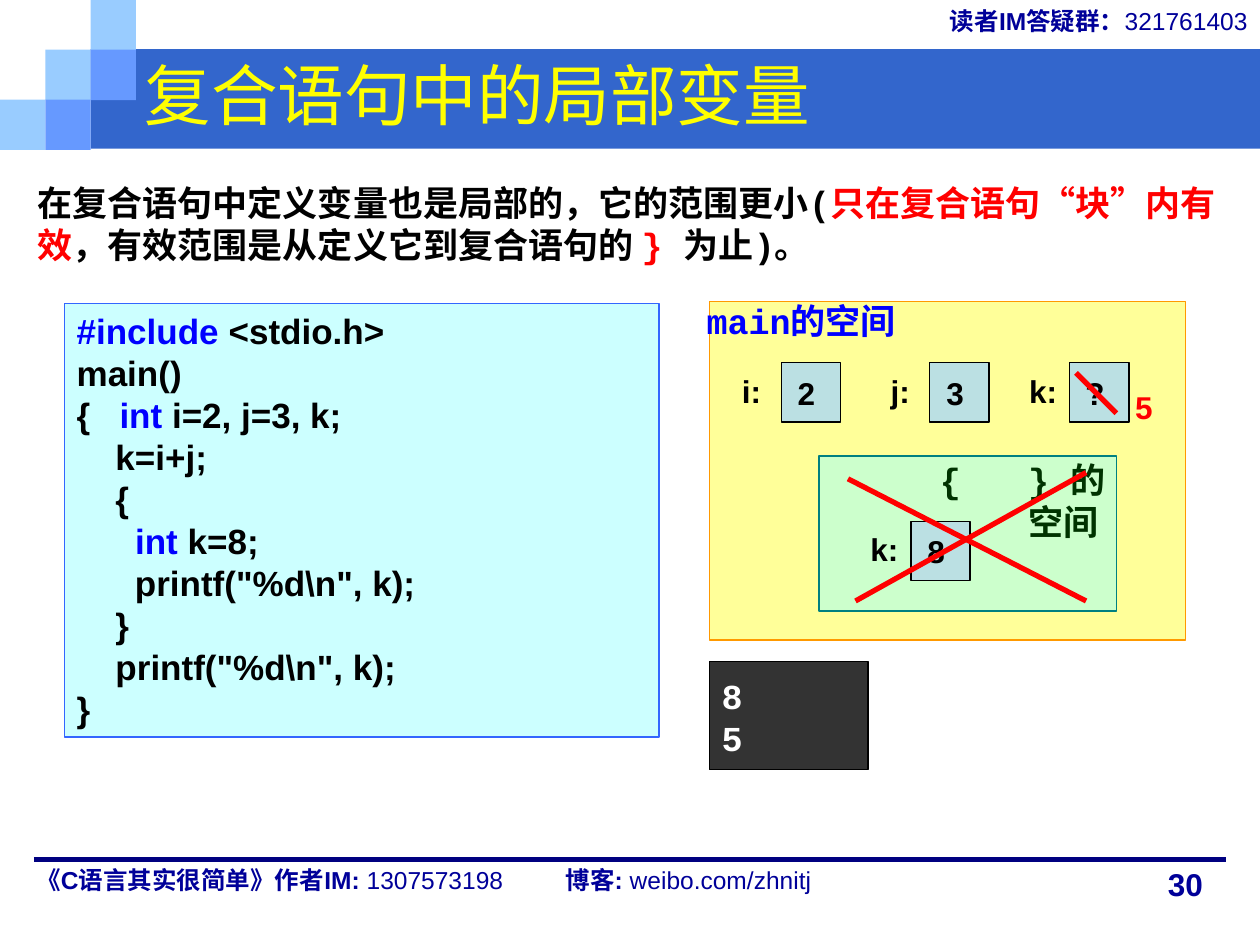
from lxml import etree
from pptx import Presentation
from pptx.dml.color import RGBColor
from pptx.enum.shapes import MSO_CONNECTOR, MSO_SHAPE
from pptx.enum.text import MSO_ANCHOR, PP_ALIGN
from pptx.oxml.ns import qn
from pptx.util import Inches, Pt

BLACK = RGBColor(0, 0, 0)
WHITE = RGBColor(0xFF, 0xFF, 0xFF)
RED = RGBColor(0xFF, 0, 0)
BLUE = RGBColor(0, 0, 0xFF)
NAVY = RGBColor(0, 0, 0x99)
RULE_NAVY = RGBColor(0, 0, 0x80)
BAND = RGBColor(0x33, 0x66, 0xCC)
LIGHT_TILE = RGBColor(0x99, 0xCC, 0xFF)
MID_TILE = RGBColor(0x66, 0x99, 0xFF)
YELLOW = RGBColor(0xFF, 0xFF, 0)
CODE_FILL = RGBColor(0xCC, 0xFF, 0xFF)
CODE_EDGE = RGBColor(0x33, 0x66, 0xFF)
MAIN_FILL = RGBColor(0xFF, 0xFF, 0x99)
MAIN_EDGE = RGBColor(0xFF, 0x99, 0)
BLOCK_FILL = RGBColor(0xCC, 0xFF, 0xCC)
BLOCK_EDGE = RGBColor(0, 0x80, 0x80)
BLOCK_TEXT = RGBColor(0, 0x33, 0)
CELL_FILL = RGBColor(0xBB, 0xE0, 0xE3)
CONSOLE = RGBColor(0x33, 0x33, 0x33)

prs = Presentation()
prs.slide_width = Inches(10)
prs.slide_height = Inches(7.5)
slide = prs.slides.add_slide(prs.slide_layouts[6])


def add_panel(left, top, width, height, fill, edge=None):
    panel = slide.shapes.add_shape(
        MSO_SHAPE.RECTANGLE, Inches(left), Inches(top), Inches(width), Inches(height))
    panel.shadow.inherit = False
    panel.fill.solid()
    panel.fill.fore_color.rgb = fill
    if edge is None:
        panel.line.fill.background()
    else:
        panel.line.color.rgb = edge
        panel.line.width = Pt(0.75)
    return panel


def write(box, lines, size, font="Arial", align=PP_ALIGN.LEFT, anchor=MSO_ANCHOR.TOP):
    frame = box.text_frame
    frame.word_wrap = True
    frame.vertical_anchor = anchor
    for number, runs in enumerate(lines):
        paragraph = frame.paragraphs[0] if number == 0 else frame.add_paragraph()
        paragraph.alignment = align
        for text, color, bold in runs:
            run = paragraph.add_run()
            run.text = text
            run.font.size = Pt(size)
            run.font.name = font
            run.font.bold = bold
            run.font.color.rgb = color
    return frame


add_panel(0.72, 0.39, 9.28, 0.79, BAND)
for column, row, color in [(0, 2, LIGHT_TILE), (1, 1, LIGHT_TILE), (2, 0, LIGHT_TILE),
                           (2, 1, MID_TILE), (1, 2, MID_TILE)]:
    add_panel(column * 0.36, row * 0.395, 0.36, 0.4, color)

page_number = slide.shapes.add_textbox(Inches(9.17), Inches(6.82), Inches(0.55), Inches(0.4))
write(page_number, [[("30", NAVY, True)]], 18)

footer = slide.shapes.add_textbox(Inches(0.19), Inches(6.82), Inches(7.64), Inches(0.47))
footer_frame = write(footer, [[
    ("《C语言其实很简单》作者IM: ", NAVY, True), ("1307573198\t", NAVY, False),
    ("博客: ", NAVY, True), ("weibo.com/zhnitj", NAVY, False)]], 14)
footer_tabs = etree.SubElement(footer_frame.paragraphs[0]._p.get_or_add_pPr(), qn("a:tabLst"))
etree.SubElement(footer_tabs, qn("a:tab"), pos=str(Inches(4.2)), algn="l")

reader_group = slide.shapes.add_textbox(Inches(4.25), Inches(0), Inches(5.75), Inches(0.36))
write(reader_group, [[("读者IM答疑群：", NAVY, True), ("321761403", NAVY, False)]],
      14, align=PP_ALIGN.RIGHT)

title = slide.shapes.add_textbox(Inches(1.05), Inches(0.28), Inches(8.75), Inches(0.93))
write(title, [[("复合语句中的局部变量", YELLOW, False)]], 38, anchor=MSO_ANCHOR.MIDDLE)

explanation = slide.shapes.add_textbox(Inches(0.2), Inches(1.39), Inches(9.73), Inches(0.77))
write(explanation, [[
    ("在复合语句中定义变量也是局部的，它的范围更小(", BLACK, True),
    ("只在复合语句“块”内有效", RED, True),
    ("，有效范围是从定义它到复合语句的 ", BLACK, True),
    ("} ", RED, True),
    ("为止)。", BLACK, True)]], 20, "Courier New")

code = add_panel(0.51, 2.41, 4.72, 3.44, CODE_FILL, CODE_EDGE)
write(code, [
    [("#include", BLUE, True), (" <stdio.h>", BLACK, True)],
    [("main()", BLACK, True)],
    [("{   ", BLACK, True), ("int", BLUE, True), (" i=2, j=3, k;", BLACK, True)],
    [("    k=i+j;", BLACK, True)],
    [("    {", BLACK, True)],
    [("      ", BLACK, True), ("int", BLUE, True), (" k=8;", BLACK, True)],
    [('      printf("%d\\n", k);', BLACK, True)],
    [("    }", BLACK, True)],
    [('    printf("%d\\n", k);', BLACK, True)],
    [("}", BLACK, True)]], 20)

add_panel(5.63, 2.39, 3.78, 2.69, MAIN_FILL, MAIN_EDGE)
main_label = slide.shapes.add_textbox(Inches(5.51), Inches(2.33), Inches(2.09), Inches(0.44))
write(main_label, [[("main的空间", BLUE, True)]], 20, "Courier New")

add_panel(6.5, 3.62, 2.36, 1.23, BLOCK_FILL, BLOCK_EDGE)
block_label = slide.shapes.add_textbox(Inches(7.46), Inches(3.59), Inches(1.55), Inches(0.77))
block_frame = write(block_label, [[("{\t} 的空间", BLOCK_TEXT, True)]], 20, "Courier New")
block_frame.margin_left = 0
block_indent = block_frame.paragraphs[0]._p.get_or_add_pPr()
block_indent.set("marL", str(Inches(0.7)))
block_indent.set("indent", str(-Inches(0.7)))

for name, value, label_left, cell_left, cell_top in [
        ("i:", "2 ", 5.79, 6.2, 2.88), ("j:", "3 ", 6.97, 7.38, 2.88),
        ("k:", "? ", 8.07, 8.49, 2.88), ("k:", "8 ", 6.81, 7.23, 4.14)]:
    variable = slide.shapes.add_textbox(
        Inches(label_left), Inches(cell_top + 0.02), Inches(0.49), Inches(0.4))
    write(variable, [[(name, BLACK, True)]], 18)
    cell = add_panel(cell_left, cell_top, 0.47, 0.47, CELL_FILL, BLACK)
    write(cell, [[(value, BLACK, True)]], 18, align=PP_ALIGN.CENTER,
          anchor=MSO_ANCHOR.MIDDLE).word_wrap = False

new_value = slide.shapes.add_textbox(Inches(8.91), Inches(3.03), Inches(0.41), Inches(0.4))
write(new_value, [[("5", RED, True)]], 18)

console = add_panel(5.63, 5.25, 1.26, 0.86, CONSOLE, BLACK)
console_frame = write(console, [[("8", WHITE, True)], [("5", WHITE, True)]], 20, "Courier New")
console_frame.margin_top = console_frame.margin_bottom = Inches(0.1)

for x1, y1, x2, y2, color in [
        (0.27, 6.82, 9.73, 6.82, RULE_NAVY), (8.54, 2.96, 8.86, 3.28, RED),
        (6.73, 3.8, 8.62, 4.77, RED), (6.79, 4.77, 8.62, 3.75, RED)]:
    stroke = slide.shapes.add_connector(
        MSO_CONNECTOR.STRAIGHT, Inches(x1), Inches(y1), Inches(x2), Inches(y2))
    stroke.line.color.rgb = color
    stroke.line.width = Pt(3)
    etree.SubElement(stroke._element.spPr, qn("a:effectLst"))

prs.save("out.pptx")
